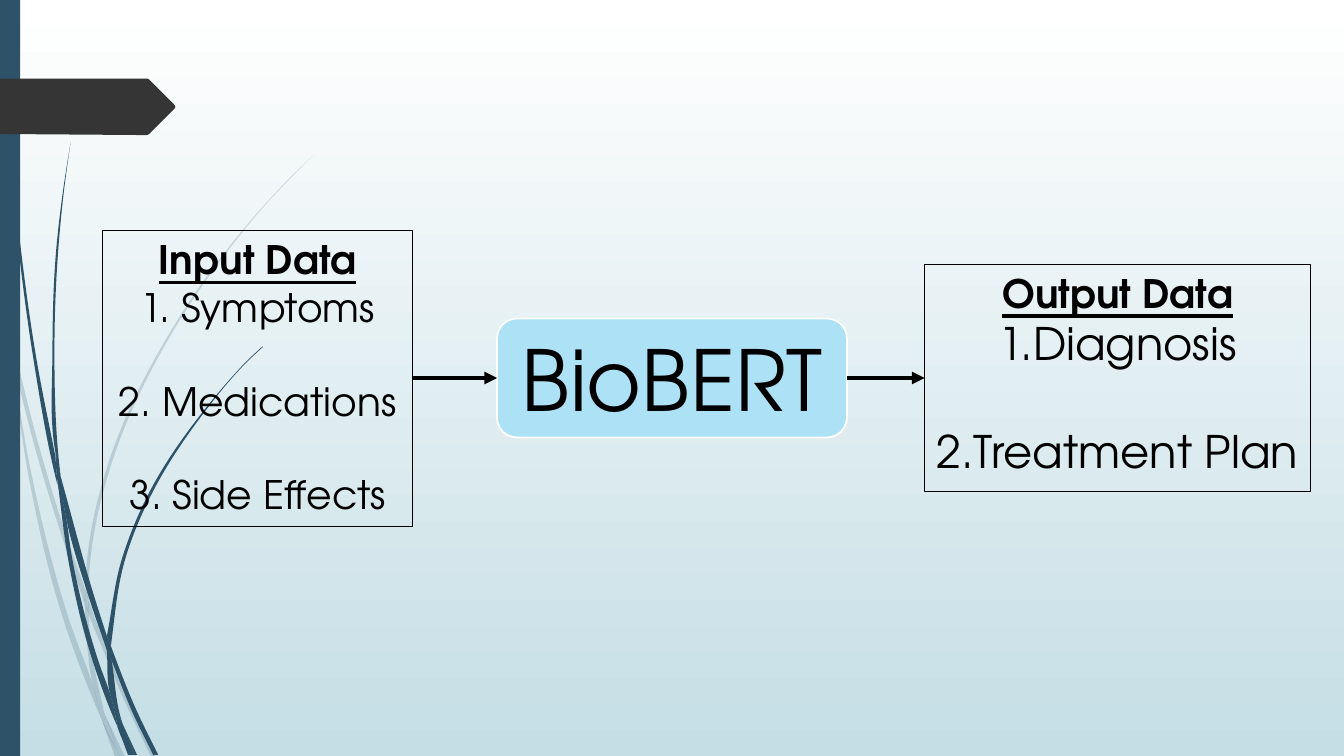
from pptx import Presentation
from pptx.dml.color import RGBColor
from pptx.enum.shapes import MSO_CONNECTOR as CONN, MSO_SHAPE as SHAPE
from pptx.enum.text import MSO_ANCHOR as ANCHOR, PP_ALIGN as ALIGN
from pptx.oxml.ns import qn
from pptx.util import Inches, Pt
from lxml.etree import SubElement

FONT = "TeX Gyre Adventor"
BLUE, BLACK = "2E5369", "000000"
rgb = RGBColor.from_string


def add_outline(points, color):
    """Draw a closed, filled outline through points given in inches."""
    pts = [(Inches(x), Inches(y)) for x, y in points]
    builder = s.shapes.build_freeform(*pts[0], scale=1.0)
    builder.add_line_segments(pts[1:], close=True)
    sp = builder.convert_to_shape()
    sp.shadow.inherit = False
    sp.fill.solid()
    sp.fill.fore_color.rgb = rgb(color)
    sp.line.fill.background()
    return sp


def add_line(tf, p, text, size, heading=False):
    """Fill one centred paragraph."""
    tf.word_wrap = True
    p.text = text
    p.alignment = ALIGN.CENTER
    font = p.runs[0].font
    font.name, font.size = FONT, Pt(size)
    font.bold = font.underline = heading
    font.color.rgb = rgb(BLACK)


prs = Presentation()
prs.slide_width, prs.slide_height = Inches(13.33), Inches(7.5)
s = prs.slides.add_slide(prs.slide_layouts[6])

# Background gradient, white at the top
bg = s.background.fill
bg.gradient()
bg.gradient_angle = 270
for stop, color in zip(bg.gradient_stops, ("FFFFFF", "C5DEE5")):
    stop.color.rgb = rgb(color)

# Grass blades: knots of the left and right edges, from top to bottom
faint_blades = [
    ([(0, 2.99), (0.1, 3.44)], [(0, 2.82), (0.09, 3.22), (0.11, 3.5)]),
    ([(0.17, 3.76), (0.36, 4.49), (0.58, 5.22), (0.84, 5.99)],
     [(0.14, 3.45), (0.36, 4.33), (0.62, 5.2), (0.85, 5.86)]),
    ([(0.88, 6.1), (1.23, 6.94), (1.5, 7.51)],
     [(0.88, 5.96), (0.92, 6.07), (1.27, 6.92), (1.55, 7.51)]),
    ([(1.05, 7.11), (1.19, 7.51)], [(1.05, 7.11), (1.24, 7.51)]),
    ([(0.11, 3.5), (0.28, 4.7), (0.65, 6.21), (0.92, 6.93), (1.01, 7.14)],
     [(0.11, 3.5), (0.31, 4.69), (0.7, 6.19), (0.93, 6.83), (0.99, 7.07)]),
    ([(0.84, 5.99), (0.87, 6.46), (0.93, 6.83), (0.96, 6.92), (1.05, 7.11)],
     [(0.84, 5.99), (0.88, 6.08), (0.88, 6.1), (0.91, 6.46), (1.03, 7.06)]),
    ([(3.12, 1.53), (2.89, 1.75), (2.68, 1.97), (2.28, 2.44), (1.58, 3.48),
      (1.07, 4.61), (0.85, 5.84), (0.85, 5.86)],
     [(3.12, 1.53), (2.9, 1.75), (2.68, 1.98), (2.29, 2.45), (1.6, 3.49),
      (1.1, 4.62), (0.88, 5.84), (0.88, 5.96)]),
    ([(1.01, 7.14), (1.14, 7.51)], [(1.01, 7.14), (1.19, 7.51)]),
    ([(0.85, 5.86), (0.84, 5.99), (0.88, 6.08)],
     [(0.85, 5.86), (0.88, 5.96), (0.88, 6.1)]),
    ([(0.93, 6.83), (0.99, 7.07), (1.01, 7.14), (1.19, 7.51)],
     [(0.93, 6.83), (0.96, 6.92), (1.05, 7.11), (1.19, 7.51)]),
]
dark_blades = [
    ([(0.03, 0), (0.04, 0.48), (0.07, 1.1), (0.17, 2.33), (0.33, 3.55),
      (0.56, 4.77), (0.57, 4.81)],
     [(0.04, 0), (0.05, 0.48), (0.08, 1.09), (0.19, 2.32), (0.36, 3.55), (0.55, 4.53)]),
    ([(0.6, 4.72), (0.64, 5.05), (0.88, 5.92), (1.06, 6.45)],
     [(0.6, 4.72), (0.93, 5.9), (1.06, 6.31)]),
    ([(1.11, 6.56), (1.32, 7.08), (1.52, 7.49)],
     [(1.1, 6.41), (1.13, 6.49), (1.36, 7.06), (1.57, 7.49)]),
    ([(0.57, 4.77), (0.68, 5.57), (0.93, 6.59), (1.11, 7.08), (1.17, 7.22)],
     [(0.57, 4.77), (0.64, 5.05), (0.72, 5.56), (0.98, 6.57), (1.1, 6.91), (1.16, 7.17)]),
    ([(0.7, 1.41), (0.62, 1.93), (0.56, 2.45), (0.52, 3.49), (0.55, 4.49), (0.6, 4.72)],
     [(0.7, 1.41), (0.63, 1.93), (0.58, 2.45), (0.54, 3.49), (0.58, 4.53), (0.6, 4.72)]),
    ([(1.22, 7.19), (1.33, 7.49)], [(1.22, 7.19), (1.36, 7.49)]),
    ([(0.55, 4.49), (0.57, 4.77), (0.64, 5.05)],
     [(0.55, 4.49), (0.6, 4.72), (0.64, 5.05)]),
    ([(2.6, 3.44), (2.45, 3.58), (2.31, 3.73), (2.04, 4.05), (1.56, 4.74),
      (1.22, 5.51), (1.06, 6.31)],
     [(2.61, 3.44), (2.45, 3.59), (2.31, 3.74), (2.05, 4.06), (1.58, 4.76),
      (1.25, 5.52), (1.11, 6.33), (1.1, 6.41)]),
    ([(1.17, 7.22), (1.27, 7.49)], [(1.17, 7.22), (1.31, 7.49)]),
    ([(1.06, 6.45), (1.1, 6.91), (1.16, 7.06), (1.22, 7.19)],
     [(1.11, 6.56), (1.21, 7.16), (1.22, 7.19)]),
    ([(1.06, 6.31), (1.06, 6.45), (1.11, 6.56)],
     [(1.06, 6.31), (1.1, 6.41), (1.11, 6.56)]),
    ([(1.1, 6.91), (1.16, 7.17), (1.17, 7.22), (1.3, 7.49)],
     [(1.1, 6.91), (1.16, 7.06), (1.22, 7.19), (1.33, 7.49)]),
]
blades = [(b, 20) for b in faint_blades] + [(b, 100) for b in dark_blades]
for (left, right), alpha in blades:
    edges = left, right[::-1]
    sp = add_outline(edges[0] + edges[1], BLUE)
    clr = sp.fill._xPr.find(qn("a:solidFill"))[0]
    SubElement(clr, qn("a:alpha")).set("val", str(alpha * 1000))
    # Bend the sides of each edge; the joins between edges stay straight
    sides = list(sp._element.iter(qn("a:lnTo")))
    first = 0
    for edge in edges:
        steps = [(x1 - x0, y1 - y0) for (x0, y0), (x1, y1) in zip(edge, edge[1:])]
        secants = [dx / dy for dx, dy in steps]
        inner = [(secants[i] * steps[i + 1][1] + secants[i + 1] * steps[i][1])
                 / (steps[i][1] + steps[i + 1][1]) for i in range(len(steps) - 1)]
        slopes = secants[:1] + inner + secants[-1:]
        for i, (dx, dy) in enumerate(steps):
            (x0, y0), (x1, y1), h = edge[i], edge[i + 1], dy / 3
            side = sides[first + i]
            side.tag = qn("a:cubicBezTo")
            for n, (x, y) in enumerate([(x0 + h * slopes[i], y0 + h),
                                        (x1 - h * slopes[i + 1], y1 - h)]):
                pt = side.makeelement(qn("a:pt"))
                pt.set("x", str(Inches(x) - sp.left))
                pt.set("y", str(Inches(y) - sp.top))
                side.insert(n, pt)
        first += len(edge)

# Side bar and page tag
bar = s.shapes.add_shape(SHAPE.RECTANGLE, 0, 0, Inches(0.2), prs.slide_height)
bar.shadow.inherit = False
bar.fill.solid()
bar.fill.fore_color.rgb = rgb(BLUE)
bar.line.fill.background()
add_outline([(0, 0.78), (1.46, 0.78), (1.48, 0.79), (1.73, 1.04), (1.74, 1.06),
             (1.73, 1.08), (1.48, 1.33), (1.46, 1.34), (1.36, 1.34), (0, 1.33)], "353535")

# Model box
model = s.shapes.add_shape(SHAPE.ROUNDED_RECTANGLE, Inches(4.93), Inches(3.16),
                           Inches(3.47), Inches(1.18))
model.shadow.inherit = False
model.fill.solid()
model.fill.fore_color.rgb = rgb("ADE1F5")
model.line.color.rgb = rgb("FFFFFF")
model.line.width = Pt(1.25)
tf = model.text_frame
tf.vertical_anchor = ANCHOR.MIDDLE
add_line(tf, tf.paragraphs[0], "BioBERT", 60)

# Data boxes: place, heading, item size, gap between items, items
data_boxes = [
    ((1.02, 2.29, 3.07, 2.93), "Input Data", 28, 33.5,
     ["1. Symptoms", "2. Medications", "3. Side Effects"]),
    ((9.17, 2.62, 3.83, 2.26), "Output Data", 32, 38.4,
     ["1.Diagnosis", "2.Treatment Plan"]),
]
for place, heading, size, gap, items in data_boxes:
    box = s.shapes.add_shape(SHAPE.RECTANGLE, *map(Inches, place))
    box.shadow.inherit = False
    box.fill.background()
    box.line.color.rgb = rgb(BLACK)
    box.line.width = Pt(0.75)
    tf = box.text_frame
    tf.vertical_anchor = ANCHOR.TOP
    add_line(tf, tf.paragraphs[0], heading, 28, heading=True)
    for i, item in enumerate(items):
        p = tf.add_paragraph()
        add_line(tf, p, item, size)
        p.space_before = Pt(gap if i else 0)

# Arrows into and out of the model
for x0, x1 in ((4.09, 4.93), (8.4, 9.17)):
    arrow = s.shapes.add_connector(CONN.STRAIGHT, Inches(x0), Inches(3.75),
                                   Inches(x1), Inches(3.75))
    arrow.line.color.rgb = rgb(BLACK)
    arrow.line.width = Pt(3)
    SubElement(arrow.line._get_or_add_ln(), qn("a:tailEnd")).set("type", "triangle")
    SubElement(arrow._element.spPr, qn("a:effectLst"))

prs.save("out.pptx")
